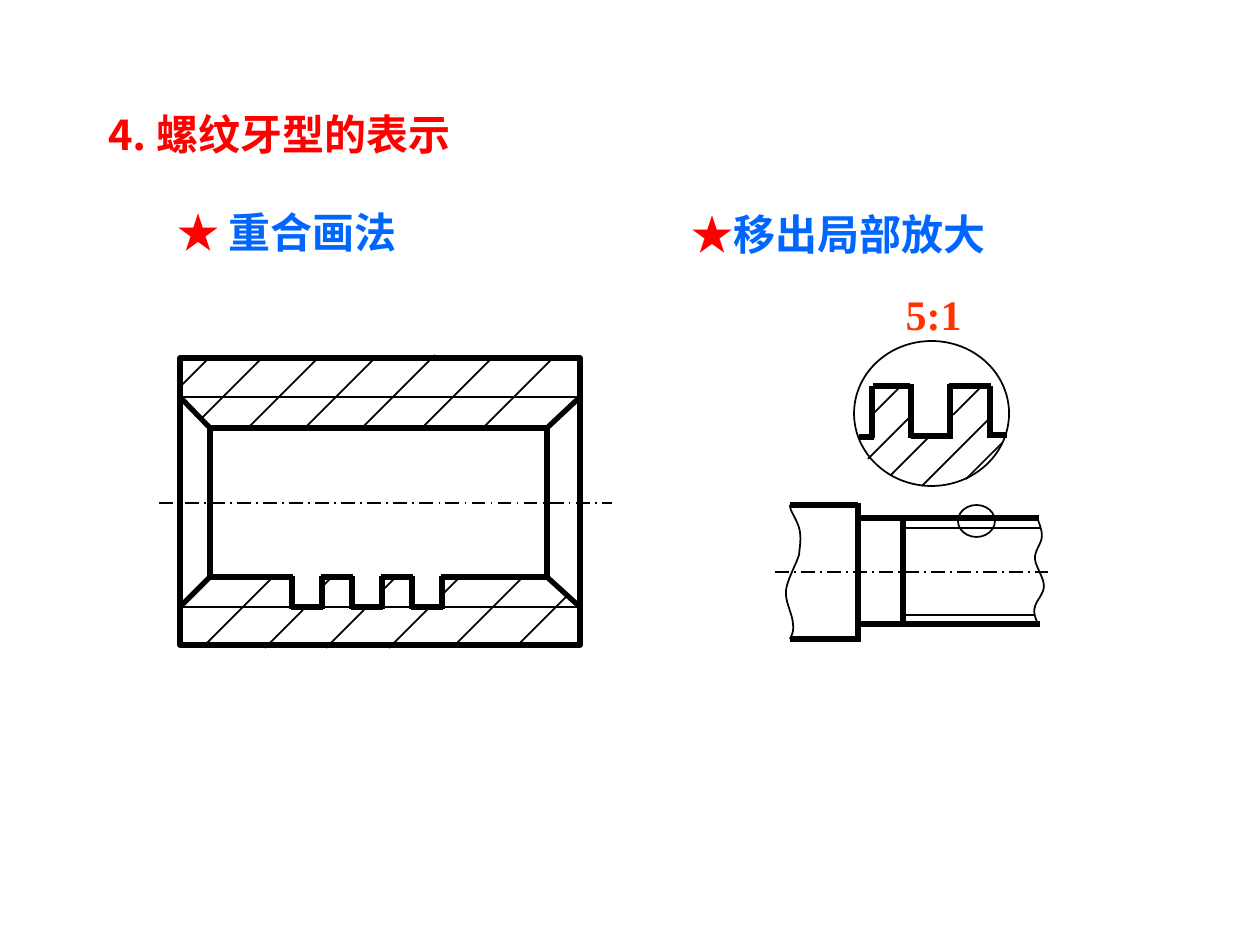
from lxml.etree import SubElement
from pptx import Presentation
from pptx.dml.color import RGBColor
from pptx.enum.dml import MSO_LINE
from pptx.enum.shapes import MSO_CONNECTOR, MSO_SHAPE
from pptx.enum.text import MSO_ANCHOR, PP_ALIGN
from pptx.oxml.ns import qn
from pptx.util import Pt

PX = 914400 / 126
BLACK = RGBColor(0, 0, 0)
RED = RGBColor(255, 0, 0)
BLUE = RGBColor(0, 102, 255)
ORANGE = RGBColor(255, 51, 0)
SANS, SERIF = "Noto Sans CJK SC", "Times New Roman"
THIN, THICK = 1, 3

# box, font, alignment, runs
TEXTS = [
    ((93, 102, 484, 63), SANS, PP_ALIGN.LEFT, [("⒋ 螺纹牙型的表示", RED)]),
    ((165, 200, 422, 63), SERIF, PP_ALIGN.LEFT, [("★", RED), (" 重合画法", BLUE)]),
    ((679, 202, 525, 63), SERIF, PP_ALIGN.LEFT, [("★", RED), ("移出局部放大", BLUE)]),
    ((893, 282, 81, 63), SERIF, PP_ALIGN.CENTER, [("5:1", ORANGE)]),
]

AXES = [(159, 503, 612, 503), (775, 572, 1048, 572)]

# Nut section: outer walls, bore inside them, thread depth
LEFT, TOP, RIGHT, BOTTOM = 180, 358, 580, 645
BORE_L, BORE_T, BORE_R, BORE_B = 210, 428, 547, 577
ROOT_T, ROOT_B = 397, 607
TOOTH_X, PITCH, EDGES = 292, 30, 6

# 45 degree hatching: x, y of the lower end, rise
NUT_HATCH = [
    (180, 387, 30), (200, 420, 63), (248, 428, 70), (305, 428, 70),
    (364, 426, 71), (422, 428, 70), (483, 428, 70),
    (204, 646, 69), (265, 648, 38), (321, 588, 13), (326, 648, 38),
    (383, 590, 15), (389, 648, 41), (442, 595, 19), (454, 646, 68),
    (517, 646, 49),
]
ZOOM_HATCH = [(874, 413, 27), (868, 459, 44), (891, 475, 39),
              (953, 415, 29), (922, 486, 67), (966, 479, 36)]

SHAFT_EDGES = [
    (790, 505, 858, 505), (858, 503, 858, 642), (858, 639, 790, 639),
    (857, 518, 1039, 518), (858, 624, 1040, 624), (903, 517, 903, 624),
]
SHAFT_ROOTS = [(903, 528, 1040, 528), (903, 615, 1035, 615)]
ZOOM_EDGES = [
    (859, 437, 874, 437), (872, 438, 872, 386), (873, 386, 910, 386),
    (911, 438, 911, 384), (950, 439, 950, 384), (990, 438, 990, 386),
    (911, 436, 950, 436), (949, 386, 991, 386), (990, 435, 1007, 435),
]
CIRCLES = [(958, 505, 37, 32), (854, 341, 155, 145)]

# Break lines: start point, then cubic curves (two controls and an end)
BREAKS = [
    [(790, 505), (790, 505), (790, 507), (791, 510),
     (793, 515), (799, 524), (800, 532), (801, 540), (800, 546), (799, 555),
     (796, 565), (787, 580), (786, 591), (785, 602), (793, 615), (793, 624),
     (794, 631), (792, 635), (790, 639)],
    [(1037, 517), (1039, 523), (1042, 529), (1042, 536),
     (1042, 543), (1035, 550), (1035, 558), (1035, 566), (1044, 577), (1044, 586),
     (1044, 594), (1036, 601), (1035, 607), (1033, 613), (1036, 619), (1038, 624)],
]


def emu(*vals):
    return [round(v * PX) for v in vals]


def draw_line(shapes, ends, width, dash=None):
    line = shapes.add_connector(MSO_CONNECTOR.STRAIGHT, *emu(*ends))
    line.line.color.rgb = BLACK
    line.line.width = Pt(width)
    if dash:
        line.line.dash_style = dash
    SubElement(line._element.spPr, qn("a:effectLst"))


def outline(shape, width):
    shape.shadow.inherit = False
    shape.fill.background()
    shape.line.color.rgb = BLACK
    shape.line.width = Pt(width)


def draw_shape(shapes, kind, box, width):
    outline(shapes.add_shape(kind, *emu(*box)), width)


def draw_hatch(shapes, marks):
    for x, y, rise in marks:
        draw_line(shapes, (x, y, x + rise, y - rise), THIN)


def draw_curve(shapes, pts, steps=10):
    """Draw joined cubic curves as an open outline of short segments."""
    dots = []
    for i in range(0, len(pts) - 1, 3):
        a, b, c, d = pts[i:i + 4]
        for n in range(1, steps + 1):
            t = n / steps
            u = 1 - t
            dots.append(emu(*(u**3 * p + 3 * u * u * t * q + 3 * u * t * t * r + t**3 * s
                              for p, q, r, s in zip(a, b, c, d))))
    path = shapes.build_freeform(*emu(*pts[0]))
    path.add_line_segments(dots, close=False)
    outline(path.convert_to_shape(), THIN)


def draw_text(shapes, box, face, align, runs):
    frame = shapes.add_textbox(*emu(*box)).text_frame
    frame.word_wrap = align != PP_ALIGN.CENTER
    frame.vertical_anchor = MSO_ANCHOR.MIDDLE
    para = frame.paragraphs[0]
    para.alignment = align
    for words, color in runs:
        run = para.add_run()
        run.text = words
        font = run.font
        font.size, font.bold, font.name = Pt(24), True, face
        font.color.rgb = color
        SubElement(run._r.get_or_add_rPr(), qn("a:ea")).set("typeface", SANS)


def draw_nut(shapes):
    draw_shape(shapes, MSO_SHAPE.RECTANGLE, (LEFT, TOP, RIGHT - LEFT, BOTTOM - TOP), THICK)
    for y in (ROOT_T, ROOT_B):
        draw_line(shapes, (LEFT, y, RIGHT, y), THIN)
    for wall, bore in ((LEFT, BORE_L), (RIGHT, BORE_R)):
        draw_line(shapes, (wall, ROOT_T, bore, BORE_T), THICK)
        draw_line(shapes, (wall, ROOT_B, bore, BORE_B), THICK)
        draw_line(shapes, (bore, BORE_T, bore, BORE_B), THICK)
    draw_line(shapes, (BORE_L, BORE_T, BORE_R, BORE_T), THICK)
    xs = [TOOTH_X + i * PITCH for i in range(EDGES)]
    stops = [BORE_L, *xs, BORE_R]
    for i, (x, end) in enumerate(zip(stops, stops[1:])):
        y = ROOT_B if i % 2 else BORE_B
        draw_line(shapes, (x - 1, y, end + 1, y), THICK)
    for x in xs:
        draw_line(shapes, (x, BORE_B - 1, x, ROOT_B + 2), THICK)
    draw_hatch(shapes, NUT_HATCH)


def draw_shaft(shapes):
    for ends in SHAFT_EDGES + ZOOM_EDGES:
        draw_line(shapes, ends, THICK)
    for ends in SHAFT_ROOTS:
        draw_line(shapes, ends, THIN)
    for pts in BREAKS:
        draw_curve(shapes, pts)
    draw_hatch(shapes, ZOOM_HATCH)
    for box in CIRCLES:
        draw_shape(shapes, MSO_SHAPE.OVAL, box, THIN)


def main():
    deck = Presentation()
    deck.slide_width, deck.slide_height = emu(1260, 945)
    shapes = deck.slides.add_slide(deck.slide_layouts[6]).shapes
    for ends in AXES:
        draw_line(shapes, ends, THIN, MSO_LINE.LONG_DASH_DOT)
    draw_nut(shapes)
    draw_shaft(shapes)
    for item in TEXTS:
        draw_text(shapes, *item)
    deck.save("out.pptx")


if __name__ == "__main__":
    main()
